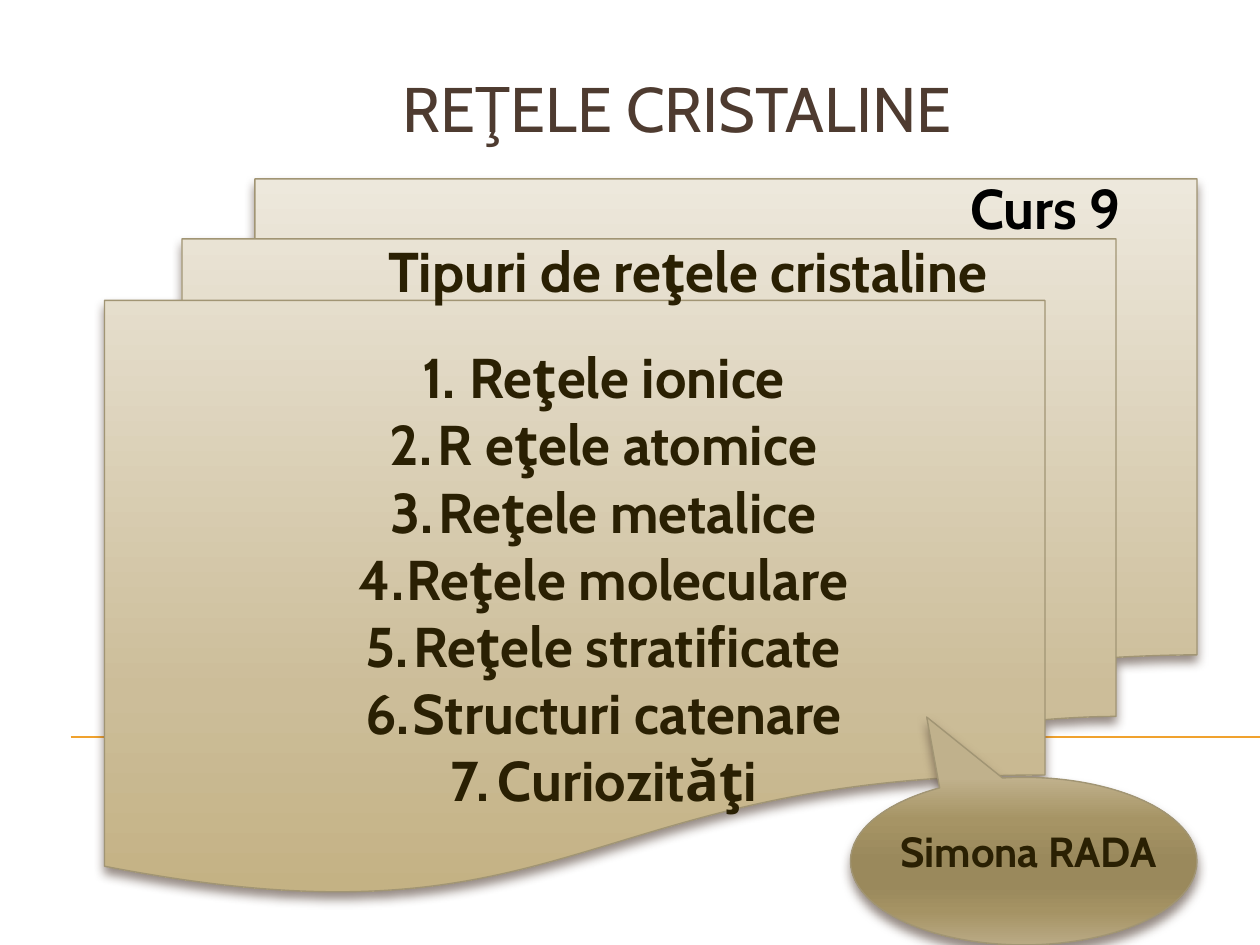
from lxml.etree import SubElement
from pptx import Presentation
from pptx.dml.color import RGBColor
from pptx.enum.shapes import MSO_CONNECTOR, MSO_SHAPE
from pptx.enum.text import MSO_ANCHOR, PP_ALIGN
from pptx.oxml.ns import qn
from pptx.util import Inches, Pt

FONT = "Cabin"
COLORS = {
    "title": "4E3B30",
    "text": "2A2003",
    "black": "000000",
    "rule": "F0A22E",
    "edge": "A19574",
    "shadow": "4E3B30",
}
PAPER = [(0, "EDE8DC"), (72, "CCBD99"), (100, "C4B284")]
BUBBLE = [(0, "C0B18C"), (25, "A69465"), (50, "9A895C"),
          (65, "9A895C"), (80, "A59364"), (100, "BAAA85")]
TOPICS = ["Reţele ionice", "R eţele atomice", "Reţele metalice",
          "Reţele moleculare", "Reţele stratificate",
          "Structuri catenare", "Curiozităţi"]


def color(name):
    return RGBColor.from_string(COLORS[name])


def add_run(para, text, size, tint, bold=False):
    run = para.add_run()
    run.text = text
    font = run.font
    font.name, font.size, font.bold = FONT, Pt(size), bold
    font.color.rgb = color(tint)


def add_title(slide, text, box):
    title = slide.shapes.title
    title.left, title.top, title.width, title.height = map(Inches, box)
    title.text_frame.vertical_anchor = MSO_ANCHOR.TOP
    para = title.text_frame.paragraphs[0]
    para.alignment = PP_ALIGN.CENTER
    add_run(para, text, 36, "title")


def add_rule(slide, left, right, y):
    rule = slide.shapes.add_connector(
        MSO_CONNECTOR.STRAIGHT, Inches(left), Inches(y), Inches(right), Inches(y))
    rule.line.color.rgb = color("rule")
    rule.line.width = Pt(0.75)
    SubElement(rule._element.spPr, qn("a:effectLst"))


def number(para, indent=0.38):
    props = para._p.get_or_add_pPr()
    props.set("marL", str(Inches(indent)))
    props.set("indent", str(-Inches(indent)))
    SubElement(props, qn("a:buAutoNum"), type="arabicPeriod")


def add_text(slide, lines, box, size=32, tint="text",
             align=PP_ALIGN.CENTER, numbered=False):
    frame = slide.shapes.add_textbox(*map(Inches, box)).text_frame
    frame.word_wrap = True
    for i, line in enumerate(lines):
        para = frame.add_paragraph() if i else frame.paragraphs[0]
        para.alignment = align
        if numbered:
            number(para)
        add_run(para, line, size, tint, bold=True)


def add_panel(slide, kind, box, stops):
    panel = slide.shapes.add_shape(kind, *map(Inches, box))
    panel.line.color.rgb = color("edge")
    panel.line.width = Pt(0.79)

    # Gradient running from top to bottom
    panel.fill.gradient()
    panel.fill.gradient_angle = 270
    props = panel._element.spPr
    ramp = props.find(qn("a:gradFill")).find(qn("a:gsLst"))
    for old in list(ramp):
        ramp.remove(old)
    for pos, tint in stops:
        stop = SubElement(ramp, qn("a:gs"), pos=str(pos * 1000))
        SubElement(stop, qn("a:srgbClr"), val=tint)

    # Soft shadow below
    panel.shadow.inherit = False
    shade = SubElement(
        props.find(qn("a:effectLst")), qn("a:outerShdw"), blurRad=str(Pt(6)),
        dist=str(Pt(4)), dir="5400000", rotWithShape="0")
    tint = SubElement(shade, qn("a:srgbClr"), val=COLORS["shadow"])
    SubElement(tint, qn("a:alpha"), val="60000")
    return panel


def main():
    deck = Presentation()
    deck.slide_width, deck.slide_height = Inches(10), Inches(7.5)
    slide = deck.slides.add_slide(deck.slide_layouts[5])

    # Rule and title
    add_rule(slide, 0.56, 10, 5.85)
    add_title(slide, "REŢELE CRISTALINE", (0.75, 0.5, 9.25, 1.34))

    # Stacked pages with the course topics
    add_panel(slide, MSO_SHAPE.FLOWCHART_MULTIDOCUMENT,
              (0.83, 1.42, 8.67, 5.67), PAPER)
    add_text(slide, TOPICS, (2.25, 2.67, 5.08, 3.87), numbered=True)
    add_text(slide, ["Tipuri de reţele cristaline"], (2.75, 1.83, 5.42, 0.64))
    add_text(slide, ["Curs 9"], (5.42, 1.33, 3.58, 0.64),
             tint="black", align=PP_ALIGN.RIGHT)

    # Author bubble
    bubble = add_panel(slide, MSO_SHAPE.OVAL_CALLOUT,
                       (6.75, 6.17, 2.75, 1.33), BUBBLE)
    bubble.adjustments[0] = -0.28
    bubble.adjustments[1] = -0.86
    add_text(slide, ["Simona RADA"], (7, 6.5, 2.33, 0.5), size=24)

    deck.save("out.pptx")


if __name__ == "__main__":
    main()
